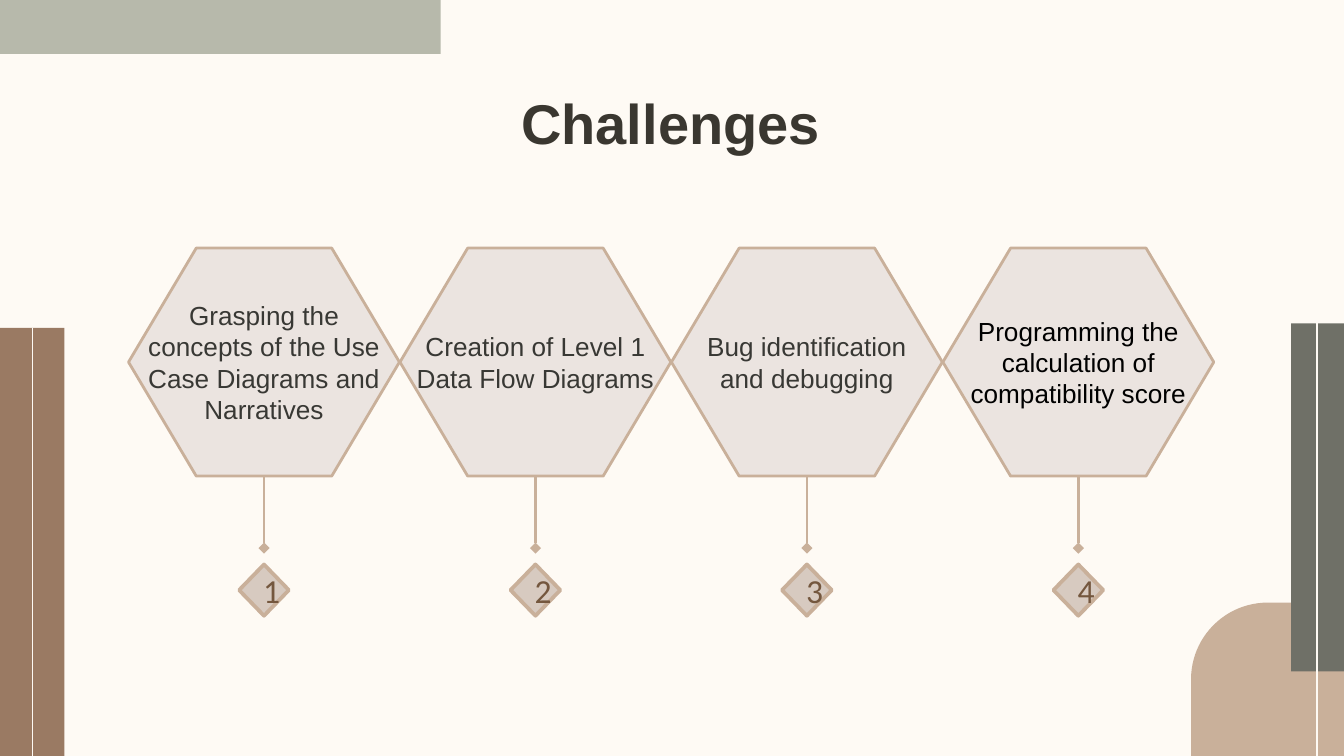
from pptx import Presentation
from pptx.dml.color import RGBColor
from pptx.enum.shapes import MSO_CONNECTOR as Link, MSO_SHAPE as Kind
from pptx.enum.text import MSO_ANCHOR as Anchor, MSO_AUTO_SIZE as Fit, PP_ALIGN as Align
from pptx.oxml.ns import qn
from pptx.util import Cm, Pt
from lxml.etree import SubElement

# Content
TITLE = "Challenges"
STEPS = [
    ("Grasping the concepts of the Use Case Diagrams and Narratives", "body"),
    ("Creation of Level 1 Data Flow Diagrams", "body"),
    ("Bug identification and debugging", "body"),
    ("Programming the calculation of compatibility score", "black"),
]

# Theme
THEME = {
    "cream": "FEFAF4", "sage": "B7B9AB", "slate": "6F7067", "brown": "9A7A63",
    "tan": "C9B09A", "pale": "EBE4E0", "sand": "D7CAC0", "title": "3A3730",
    "body": "383834", "black": "000000", "number": "74573E",
    "font": "Arial", "digit": "Calibri",
    "title_pt": 30, "body_pt": 14, "number_pt": 18,
}

# Measures in cm
WIDE, HIGH = 25.4, 14.29
HEX_X, HEX_Y, HEX_W, HEX_H = 2.43, 4.69, 5.12, 4.31
PITCH = 5.13
PIN_END = 10.36
GEM_Y, GEM_W, GEM_H = 10.67, 0.94, 0.97

# Decoration: kind, left, top, width, height, rotation, colour
DECOR = [
    (Kind.ROUND_1_RECTANGLE, 22.51, 11.39, 2.9, 2.9, 270, "tan"),
    (Kind.RECTANGLE, 0, 0, 8.33, 1.02, 0, "sage"),
    (Kind.RECTANGLE, 21.62, 8.89, 6.58, 1.02, 270, "slate"),
    (Kind.RECTANGLE, 0, 6.2, 1.22, 8.09, 0, "brown"),
]
STRIPES = [(24.89, 6.1), (0.61, 6.2)]


def tint(name):
    return RGBColor.from_string(THEME[name])


def paint(shape, fill, line=None, width=0):
    shape.shadow.inherit = False
    shape.fill.solid()
    shape.fill.fore_color.rgb = tint(fill)
    if line:
        shape.line.color.rgb = tint(line)
        shape.line.width = Pt(width)
    else:
        shape.line.fill.background()


def write(shape, text, size, color, font="font", bold=False, anchor=Anchor.MIDDLE, inset=None):
    frame = shape.text_frame
    frame.text = text
    frame.word_wrap = True
    frame.auto_size = Fit.NONE
    frame.vertical_anchor = anchor
    if inset is not None:
        frame.margin_left = frame.margin_right = Cm(inset)
        frame.margin_top = frame.margin_bottom = Cm(inset)
    para = frame.paragraphs[0]
    para.alignment = Align.CENTER
    face = para.runs[0].font
    face.name, face.size, face.bold = THEME[font], Pt(THEME[size]), bold
    face.color.rgb = tint(color)


def rule(x, top, end, color, width, tip=None):
    line = shapes.add_connector(Link.STRAIGHT, Cm(x), Cm(top), Cm(x), Cm(end))
    line.line.color.rgb = tint(color)
    line.line.width = Pt(width)
    if tip:
        SubElement(line.get_or_add_ln(), qn("a:tailEnd"), type=tip)
    SubElement(line.element.spPr, qn("a:effectLst"))


def hexagon(x, y):
    mid, low = y + HEX_H / 2, y + HEX_H
    near, far = x + HEX_W / 4, x + HEX_W * 3 / 4
    points = [(x, mid), (near, low), (far, low), (x + HEX_W, mid), (far, y)]
    pen = shapes.build_freeform(Cm(near), Cm(y))
    pen.add_line_segments([(Cm(a), Cm(b)) for a, b in points], close=True)
    return pen.convert_to_shape()


deck = Presentation()
deck.slide_width, deck.slide_height = Cm(WIDE), Cm(HIGH)
slide = deck.slides.add_slide(deck.slide_layouts[5])
shapes = slide.shapes
slide.background.fill.solid()
slide.background.fill.fore_color.rgb = tint("cream")

# Side and corner decoration
for kind, x, y, w, h, turn, color in DECOR:
    block = shapes.add_shape(kind, Cm(x), Cm(y), Cm(w), Cm(h))
    block.rotation = turn
    if kind == Kind.ROUND_1_RECTANGLE:
        block.adjustments[0] = 0.5
    paint(block, color)
for x, top in STRIPES:
    rule(x, top, HIGH, "cream", 0.75)

# Title
head = shapes.title
head.left, head.top, head.width, head.height = Cm(1.98), Cm(1.42), Cm(21.39), Cm(1.6)
write(head, TITLE, "title_pt", "title", bold=True, anchor=Anchor.TOP, inset=0.25)

# Hexagons, each with a pin and a numbered diamond
for i, (text, color) in enumerate(STEPS):
    x = HEX_X + i * PITCH
    mid = x + HEX_W / 2
    rule(mid, HEX_Y + HEX_H, PIN_END, "tan", 1.5, "diamond")
    cell = hexagon(x, HEX_Y)
    paint(cell, "pale", "tan", 1.5)
    write(cell, text, "body_pt", color, inset=0.25)
    gem = shapes.add_shape(Kind.DIAMOND, Cm(mid - GEM_W / 2), Cm(GEM_Y), Cm(GEM_W), Cm(GEM_H))
    paint(gem, "sand", "tan", 2)
    write(gem, str(i + 1), "number_pt", "number", "digit")

deck.save("out.pptx")
